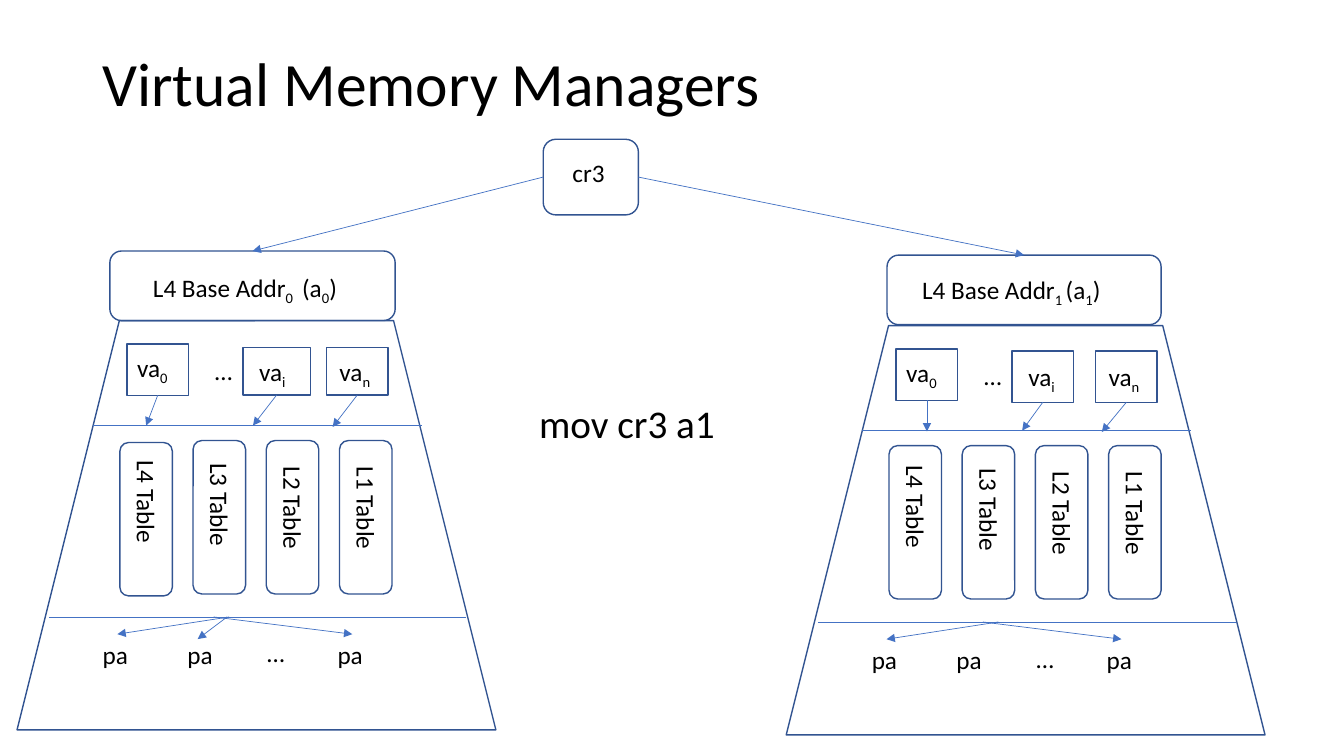
from dataclasses import dataclass

from lxml.etree import SubElement
from pptx import Presentation
from pptx.dml.color import RGBColor
from pptx.enum.shapes import MSO_CONNECTOR, MSO_SHAPE
from pptx.enum.text import MSO_ANCHOR, MSO_AUTO_SIZE, PP_ALIGN
from pptx.oxml.ns import qn
from pptx.util import Pt

FONT = "Calibri"
BLACK = "000000"
EDGE = "325491"
LINK = "4472C4"
ROUND = MSO_SHAPE.FLOWCHART_ALTERNATE_PROCESS
PLAIN = MSO_SHAPE.FLOWCHART_PROCESS
TOP, LEFT, BOTTOM, RIGHT = range(4)
STEP = 52.3
TURNED = (126, 128, 130.5, 130.5)


@dataclass
class Box:
    x: float
    y: float
    w: float
    h: float


@dataclass
class Page:
    text: str
    box: Box
    tag: Box
    tip: tuple[float, float]


@dataclass
class Tree:
    x: float
    y: float
    base: Box
    name: str
    note: Box
    pages: list[Page]
    first: float
    fan: bool


def paint(color: str) -> RGBColor:
    return RGBColor.from_string(color)


def style(run, size: float) -> None:
    run.font.name = FONT
    run.font.size = Pt(size)
    run.font.color.rgb = paint(BLACK)


def outline(slide, kind, box: Box, x: float = 0, y: float = 0):
    shape = slide.shapes.add_shape(
        kind, Pt(x + box.x), Pt(y + box.y), Pt(box.w), Pt(box.h))
    shape.shadow.inherit = False
    shape.fill.background()
    shape.line.color.rgb = paint(EDGE)
    shape.line.width = Pt(1)
    return shape


def label(slide, text: str, box: Box, x: float = 0, y: float = 0,
          size: float = 18, turn: float = 0):
    shape = slide.shapes.add_textbox(
        Pt(x + box.x), Pt(y + box.y), Pt(box.w), Pt(box.h))
    shape.rotation = turn
    frame = shape.text_frame
    frame.word_wrap = True
    frame.auto_size = MSO_AUTO_SIZE.SHAPE_TO_FIT_TEXT
    head, *rest = text.split("|")
    frame.text = head
    line = frame.paragraphs[0]
    for part in rest:
        line.add_run().text = part
    for i, run in enumerate(line.runs):
        style(run, size)
        if i % 2:
            run.font._element.set("baseline", "-25000")
    return shape


def link(slide, start: tuple[float, float], end: tuple[float, float],
         arrow: bool = True):
    line = slide.shapes.add_connector(
        MSO_CONNECTOR.STRAIGHT, *(Pt(v) for v in (*start, *end)))
    line.line.color.rgb = paint(LINK)
    line.line.width = Pt(0.5)
    if arrow:
        SubElement(line.line._get_or_add_ln(), qn("a:tailEnd"), type="triangle")
    SubElement(line._element.spPr, qn("a:effectLst"))
    return line


def draw(slide, tree: Tree, root, side: int) -> None:
    x, y = tree.x, tree.y
    base = outline(slide, ROUND, tree.base)
    label(slide, tree.name, tree.note)
    ray = link(slide, (0, 0), (0, 0))
    ray.begin_connect(root, side)
    ray.end_connect(base, TOP)
    outline(slide, MSO_SHAPE.TRAPEZOID, Box(0, 0, 342, 292.3), x, y)

    for left, right, level in ((54, 289.4, 75), (23, 321, 211.7)):
        link(slide, (x + left, y + level), (x + right, y + level), False)

    for page in tree.pages:
        box = outline(slide, PLAIN, page.box, x, y)
        label(slide, page.text, page.tag, x, y)
        tip = (x + page.tip[0], y + page.tip[1])
        link(slide, tip, tip).begin_connect(box, BOTTOM)
    label(slide, "…", Box(134.2, 21.4, 22.3, 29.1), x, y)

    for i, turned in enumerate(TURNED):
        top = 85.7 if i else tree.first
        outline(slide, ROUND, Box(73.4 + i * STEP, top, 37.5, 109.6), x, y)
        label(slide, f"L{4 - i} Table",
              Box(44.7 + i * STEP, turned, 95.8, 29.1), x, y, turn=90)

    label(slide, "…", Box(171.6, 223, 22.3, 29.1), x, y)
    pas = [label(slide, "pa", Box(left, 224, 35.3, 29.1), x, y)
           for left in (54, 114.5, 221.8)]
    for i, start in ((0, 151.5), (2, 140.4)):
        tip = (x + start, y + 211.7)
        link(slide, tip, tip).end_connect(pas[i], TOP)
    if tree.fan:
        link(slide, (x + 150, y + 211.7), (x + 129, y + 227.5))


def main() -> None:
    deck = Presentation()
    deck.slide_width, deck.slide_height = Pt(960), Pt(540)
    slide = deck.slides.add_slide(deck.slide_layouts[5])

    title = slide.shapes.title
    title.left, title.top = Pt(66), Pt(9.5)
    title.width, title.height = Pt(828), Pt(104.4)
    frame = title.text_frame
    frame.text = "Virtual Memory Managers"
    frame.auto_size = MSO_AUTO_SIZE.NONE
    frame.vertical_anchor = MSO_ANCHOR.MIDDLE
    line = frame.paragraphs[0]
    line.alignment = PP_ALIGN.LEFT
    line.line_spacing = 0.9
    style(line.runs[0], 44)

    root = outline(slide, ROUND, Box(388, 99.5, 68, 54))
    label(slide, "cr3", Box(401.8, 108.7, 48.2, 29.1))
    label(slide, "mov cr3 a1", Box(378, 281.5, 167.8, 41.2), size=28)

    tags = (Box(78.6, 19.2, 46.8, 29.1), Box(165.8, 21.6, 39.6, 29.1),
            Box(223.2, 21.6, 40.3, 29.1))
    names = ("va|0", "va|i", "va|n")
    first = Box(78.5, 16.6, 44, 36.7)
    west = (first, Box(161.3, 19.2, 48.2, 34), Box(221, 19.2, 44, 34))
    east = (first, Box(161.3, 18, 44, 36.7), Box(221, 18, 44, 36.7))
    ends = ((168.5, 75), (225.4, 76))

    trees = (
        (Tree(12.2, 229, Box(78.5, 179.3, 203.8, 49.7),
              "L4 Base Addr|0 | (a|0|)", Box(102.2, 190.8, 158.4, 29.1),
              list(map(Page, names, west, tags, ((92.2, 75), *ends))),
              87.1, True), LEFT),
        (Tree(561.6, 232.6, Box(633.6, 182.2, 195.8, 49.7),
              "L4 Base Addr|1 |(a|1|)", Box(651.6, 192.2, 166.3, 29.1),
              list(map(Page, names, east, tags, ((100.5, 75.6), *ends))),
              85.7, False), RIGHT),
    )
    for tree, side in trees:
        draw(slide, tree, root, side)

    deck.save("out.pptx")


if __name__ == "__main__":
    main()
